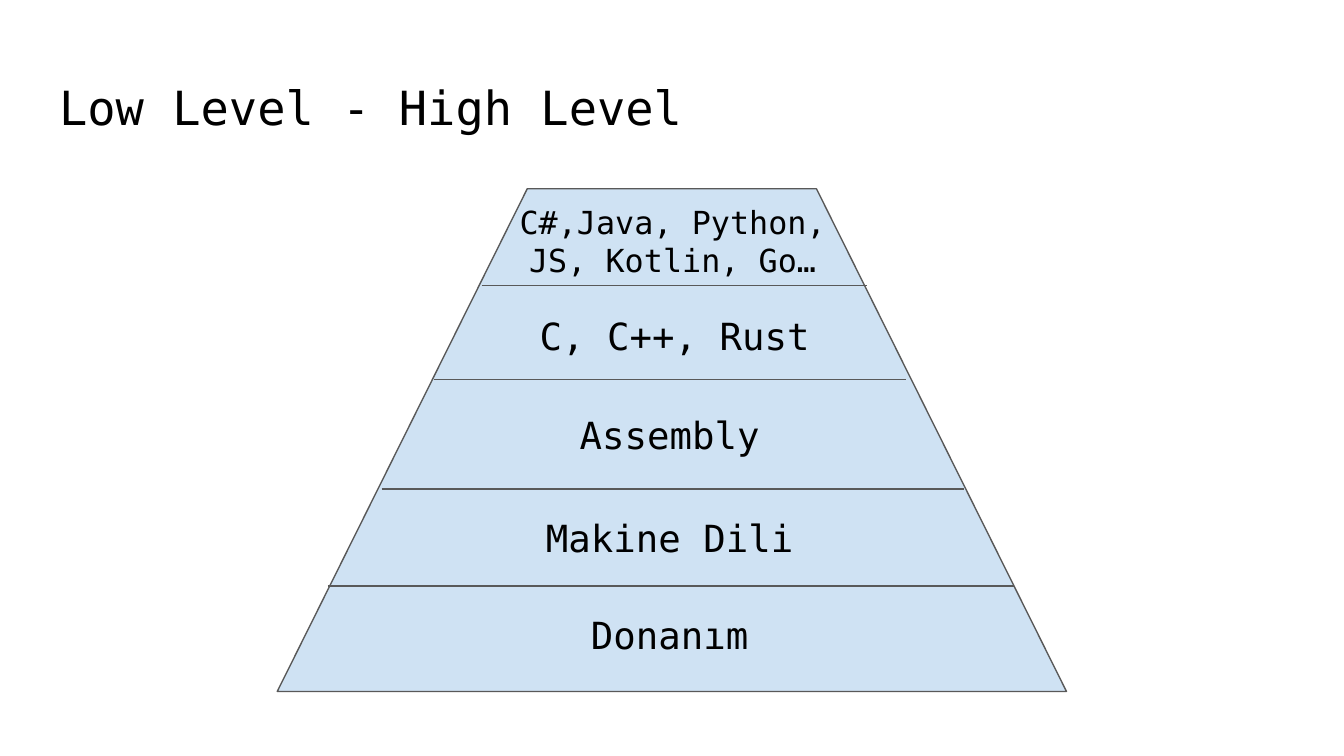
import pptx
import pptx.dml.color
import pptx.enum.shapes
import pptx.enum.text
import pptx.oxml.ns
import pptx.util
from dataclasses import dataclass
from lxml import etree


@dataclass(frozen=True)
class Theme:
    font: str = "DejaVu Sans Mono"
    ink: str = "000000"
    fill: str = "CFE2F3"
    outline: str = "595959"
    line_width: float = 0.75
    title_size: float = 25.2
    label_size: float = 20
    small_size: float = 17


THEME = Theme()

# A 16:9 slide on a grid of square cells, 100 columns wide
WIDTH = 10
HEIGHT = WIDTH * 9 / 16
CELL = WIDTH / 100

# Pyramid: left, top, width, height, and how far each side leans in
PYRAMID = (20.63, 14.05, 58.72, 37.4)
LEAN = 18.6

# Tier labels from top to bottom: text, (left, top, width, height), type size
TIERS = [
    ("C#,Java, Python, JS, Kotlin, Go…", (37.5, 14.1, 25.1, 7.7), THEME.small_size),
    ("C, C++, Rust", (38.3, 22.3, 23.8, 5.4), THEME.label_size),
    ("Assembly", (39.43, 29.65, 20.8, 5.4), THEME.label_size),
    ("Makine Dili", (39.43, 37.3, 20.8, 5.4), THEME.label_size),
    ("Donanım", (39.43, 44.55, 20.8, 5.4), THEME.label_size),
]

# Tier borders: left column, right column, row
DIVIDERS = [(35.84, 64.5, 21.24), (32.3, 67.4, 28.25), (28.4, 71.7, 36.4), (24.4, 75.44, 43.6)]


def cells(*counts):
    return [pptx.util.Inches(count * CELL) for count in counts]


def color(value):
    return pptx.dml.color.RGBColor.from_string(value)


def style_line(line):
    line.color.rgb = color(THEME.outline)
    line.width = pptx.util.Pt(THEME.line_width)


def add_text(page, text, area, size, align=pptx.enum.text.PP_ALIGN.LEFT,
             fit=pptx.enum.text.MSO_AUTO_SIZE.NONE):
    box = page.shapes.add_textbox(*cells(*area))
    frame = box.text_frame
    frame.word_wrap = True
    frame.auto_size = fit
    frame.margin_left, frame.margin_top, frame.margin_right, frame.margin_bottom = cells(1, 1, 1, 1)
    para = frame.paragraphs[0]
    para.alignment = align
    span = para.add_run()
    span.text = text
    span.font.name = THEME.font
    span.font.size = pptx.util.Pt(size)
    span.font.color.rgb = color(THEME.ink)


def add_pyramid(page, area, lean):
    pyramid = page.shapes.add_shape(pptx.enum.shapes.MSO_SHAPE.TRAPEZOID, *cells(*area))
    pyramid.adjustments[0] = lean / min(area[2:])
    pyramid.shadow.inherit = False
    pyramid.fill.solid()
    pyramid.fill.fore_color.rgb = color(THEME.fill)
    style_line(pyramid.line)


def add_divider(page, left, right, row):
    divider = page.shapes.add_connector(
        pptx.enum.shapes.MSO_CONNECTOR.STRAIGHT, *cells(left, row, right, row))
    style_line(divider.line)
    properties = divider._element.spPr
    etree.SubElement(properties, pptx.oxml.ns.qn("a:effectLst"))


def main():
    deck = pptx.Presentation()
    deck.slide_width = pptx.util.Inches(WIDTH)
    deck.slide_height = pptx.util.Inches(HEIGHT)
    page = deck.slides.add_slide(deck.slide_layouts[6])

    # Title
    add_text(page, "Low Level - High Level", (3.41, 4.86, 93.2, 6.3), THEME.title_size)

    # Pyramid and the borders between its tiers
    add_pyramid(page, PYRAMID, LEAN)
    for left, right, row in DIVIDERS:
        add_divider(page, left, right, row)

    # Tier labels
    for text, area, size in TIERS:
        add_text(page, text, area, size, align=pptx.enum.text.PP_ALIGN.CENTER,
                 fit=pptx.enum.text.MSO_AUTO_SIZE.SHAPE_TO_FIT_TEXT)

    deck.save("out.pptx")


if __name__ == "__main__":
    main()
